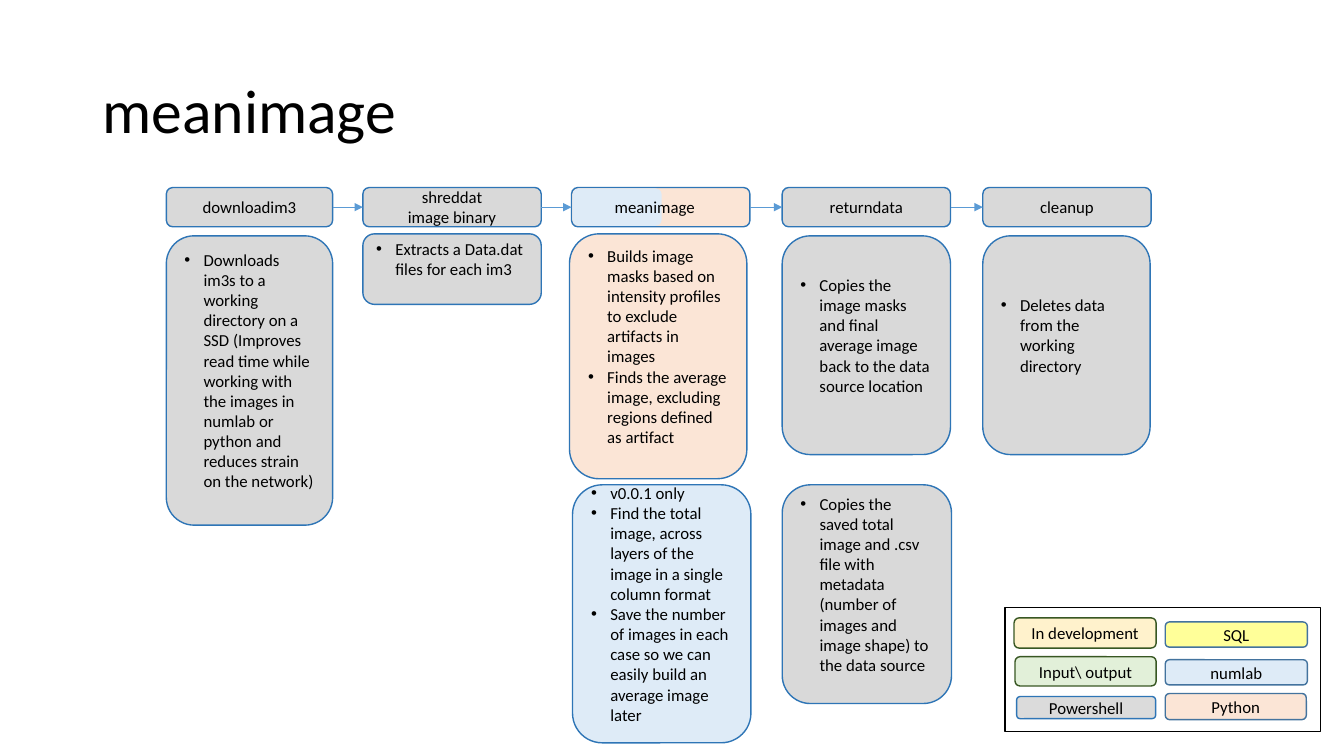
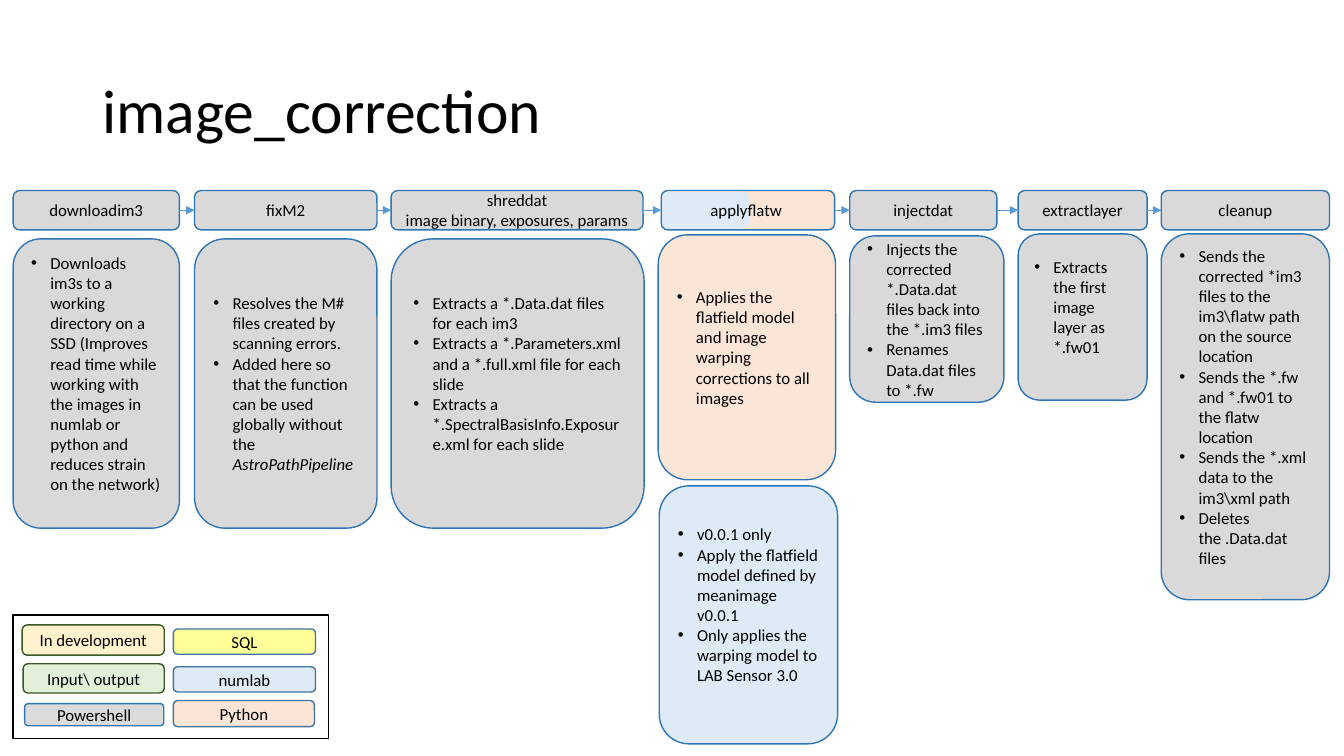
"""Build two pipeline slides: a row of linked steps with notes beneath, and a colour legend."""
from dataclasses import dataclass, field
from itertools import pairwise

from lxml import etree
from pptx import Presentation
from pptx import util as u
from pptx.dml.color import RGBColor
from pptx.enum import shapes, text
from pptx.oxml.ns import qn

# The grid has cells of a tenth of an inch.
COLUMNS, ROWS = 133.33, 75
FONT = "Calibri"
BODY_LINE = 2  # rows taken by one line of body text
INSET_X, INSET_Y = 1, 0.5
COLORS = {
    "powershell": "D9D9D9",
    "numlab": "DEEBF7",
    "python": "FBE5D6",
    "sql": "FFFF99",
    "development": "FFF2CC",
    "exchange": "E2F0D9",
    "legend_grey": "DBDBDB",
    "paper": "FFFFFF",
    "ink": "000000",
    "edge": "2E75B6",
    "legend_edge": "43739E",
    "green_edge": "385723",
    "arrow": "5B9BD5",
}
ROUNDED = shapes.MSO_SHAPE.ROUNDED_RECTANGLE
PLAIN = shapes.MSO_SHAPE.RECTANGLE
CENTER, LEFT = text.PP_ALIGN.CENTER, text.PP_ALIGN.LEFT
MIDDLE, TOP = text.MSO_ANCHOR.MIDDLE, text.MSO_ANCHOR.TOP


@dataclass
class Note:
    """A rounded box of bullets below a step; top counts from the step's top."""
    top: float
    height: float
    bullets: list
    fill: str = "powershell"
    shift: float = 0
    width: float = 0
    raised: bool = True


@dataclass
class Step:
    """One column of the flow; a label shift marks a step in two languages."""
    left: float
    width: float
    heading: list
    notes: list = field(default_factory=list)
    label_shift: float = 0


def grid(*lengths):
    """Turn grid cells into slide lengths."""
    return [u.Inches(length / 10) for length in lengths]


def color(name):
    """Look up a named colour."""
    return RGBColor.from_string(COLORS[name])


def add_bullet(paragraph):
    """Give a paragraph a hanging round bullet."""
    properties = paragraph._p.get_or_add_pPr()
    indent = u.Inches(0.19)
    properties.set("marL", str(indent))
    properties.set("indent", str(-indent))
    etree.SubElement(properties, qn("a:buFont")).set("typeface", "Arial")
    etree.SubElement(properties, qn("a:buChar")).set("char", "•")


def write(shape, lines, size=12, align=LEFT, anchor=MIDDLE, bullets=False,
          spacing=None, raise_by=0):
    """Fill a shape with paragraphs; a line is a string or (plain, italic)."""
    frame = shape.text_frame
    frame.word_wrap = True
    frame.vertical_anchor = anchor
    frame.margin_left, frame.margin_right = grid(INSET_X, INSET_X)
    frame.margin_top, frame.margin_bottom = grid(INSET_Y, INSET_Y + raise_by)
    for index, line in enumerate(lines):
        paragraph = frame.add_paragraph() if index else frame.paragraphs[0]
        paragraph.alignment = align
        if spacing:
            paragraph.line_spacing = spacing
        if bullets:
            add_bullet(paragraph)
        parts = (line,) if isinstance(line, str) else line
        for position, part in enumerate(parts):
            run = paragraph.add_run()
            run.text = part
            run.font.name, run.font.size = FONT, u.Pt(size)
            run.font.color.rgb = color("ink")
            if position:
                run.font.italic = True


def add_box(parent, box, fill, edge="edge", outline=ROUNDED):
    """Add a filled box with a thin edge, or none."""
    shape = parent.shapes.add_shape(outline, *grid(*box))
    shape.shadow.inherit = False
    shape.fill.solid()
    shape.fill.fore_color.rgb = color(fill)
    if edge:
        shape.line.color.rgb = color(edge)
        shape.line.width = u.Pt(1)
    else:
        shape.line.fill.background()
    return shape


def add_title(slide, title):
    """Place the slide's title."""
    shape = slide.shapes.add_textbox(*grid(9.2, 4, 115, 14.5))
    write(shape, [title], size=44, spacing=0.9)


def add_arrow(slide, start, end):
    """Link the right side of one box to the left side of the next."""
    arrow = slide.shapes.add_connector(shapes.MSO_CONNECTOR.CURVE, 0, 0, 0, 0)
    arrow.begin_connect(start, 3)
    arrow.end_connect(end, 1)
    arrow.line.color.rgb = color("arrow")
    arrow.line.width = u.Pt(0.5)
    etree.SubElement(arrow.line._get_or_add_ln(), qn("a:tailEnd")).set("type", "triangle")
    etree.SubElement(arrow._element.spPr, qn("a:effectLst"))


def add_two_tone(slide, box, label, label_shift):
    """Add a step heading that is half numlab and half Python."""
    left, top, width, height = box
    group = slide.shapes.add_group_shape()
    frame = add_box(group, box, "python")
    add_box(group, (left + 0.1, top + 0.1, width / 2, height - 0.2), "numlab", edge=None)
    caption = group.shapes.add_textbox(
        *grid(left + label_shift, top + 0.45, width - label_shift, 3))
    write(caption, label, anchor=TOP)
    return frame


def add_step(slide, step, top):
    """Add a heading and its notes, and return the heading's box."""
    box = (step.left, top, step.width, 3.9)
    if step.label_shift:
        heading = add_two_tone(slide, box, step.heading, step.label_shift)
    else:
        heading = add_box(slide, box, "powershell")
        write(heading, step.heading, align=CENTER)
    for note in step.notes:
        panel = add_box(slide, (step.left + note.shift, top + note.top,
                                note.width or step.width, note.height), note.fill)
        write(panel, note.bullets, bullets=True, raise_by=BODY_LINE * note.raised)
    return heading


def add_legend(slide, left, top):
    """Add the framed colour key; entries are placed from its corner."""
    entries = [
        ("In development", "development", "green_edge", 0.9, 1, 14.1, 3),
        ("Input\\ output", "exchange", "green_edge", 1, 4.85, 14, 2.9),
        ("Powershell", "legend_grey", "edge", 1.15, 8.8, 13.8, 2.2),
        ("SQL", "sql", "legend_edge", 15.9, 1.4, 14.1, 2.5),
        ("numlab", "numlab", "legend_edge", 15.9, 5.15, 14.1, 2.5),
        ("Python", "python", "legend_edge", 15.9, 8.5, 14, 2.6),
    ]
    group = slide.shapes.add_group_shape()
    add_box(group, (left, top, 31.3, 12.3), "paper", "ink", PLAIN)
    for name, fill, edge, across, down, width, height in entries:
        key = add_box(group, (left + across, top + down, width, height), fill, edge)
        write(key, [name], align=CENTER)


def add_flow_slide(presentation, title, top, steps, legend):
    """Build a slide of linked steps with a legend at the given corner."""
    slide = presentation.slides.add_slide(presentation.slide_layouts[6])
    add_title(slide, title)
    headings = [add_step(slide, step, top) for step in steps]
    for start, end in pairwise(headings):
        add_arrow(slide, start, end)
    add_legend(slide, *legend)


DOWNLOAD = Note(4.8, 28.7, [
    "Downloads im3s to a working directory on a SSD (Improves read time while "
    "working with the images in numlab or python and reduces strain on the network)"])

MEANIMAGE = [
    Step(16.5, 16.5, ["downloadim3"], [DOWNLOAD]),
    Step(36, 17.7, ["shreddat", "image binary"], [
        Note(4.6, 7, ["Extracts a Data.dat files for each im3"])]),
    Step(56.7, 17.7, ["meanimage"], [
        Note(4.6, 24.3, [
            "Builds image masks based on intensity profiles to exclude artifacts in images",
            "Finds the average image, excluding regions defined as artifact"],
            fill="python", shift=-0.2, width=17.6),
        Note(29.5, 25.6, [
            "v0.0.1 only",
            "Find the total image, across layers of the image in a single column format",
            "Save the number of images in each case so we can easily build an "
            "average image later"], fill="numlab", shift=0.1)],
        label_shift=3.3),
    Step(77.6, 16.7, ["returndata"], [
        Note(4.8, 21.7, [
            "Copies the image masks and final average image back to the data "
            "source location"]),
        Note(29.5, 21.7, [
            "Copies the saved total image and .csv file with metadata (number of "
            "images and image shape) to the data source"], width=16.8)]),
    Step(97.5, 16.7, ["cleanup"], [
        Note(4.8, 21.7, ["Deletes data from the working directory"], width=16.6)]),
]

IMAGE_CORRECTION = [
    Step(1.3, 16.5, ["downloadim3"], [DOWNLOAD]),
    Step(19.3, 18.1, ["fixM2"], [
        Note(4.8, 28.7, [
            "Resolves the M# files created by scanning errors.",
            ("Added here so that the function can be used globally without the ",
             "AstroPathPipeline")], raised=False)]),
    Step(38.8, 25, ["shreddat", "image binary, exposures, params"], [
        Note(4.8, 28.7, [
            "Extracts a *.Data.dat files for each im3",
            "Extracts a *.Parameters.xml and a *.full.xml file for each slide",
            "Extracts a *.SpectralBasisInfo.Exposure.xml for each slide"], width=25.1)]),
    Step(65.6, 17.2, ["applyflatw"], [
        Note(4.4, 24.3, [
            "Applies the flatfield model and image warping corrections to all images"],
            fill="python", shift=-0.3, width=17.6),
        Note(29.3, 25.6, [
            "v0.0.1 only",
            "Apply the flatfield model defined by meanimage v0.0.1",
            "Only applies the warping model to LAB Sensor 3.0"],
            fill="numlab", shift=-0.2, width=17.7)],
        label_shift=3.9),
    Step(84.3, 14.6, ["injectdat"], [
        Note(4.5, 16.5, [
            "Injects the corrected *.Data.dat files back into the *.im3 files",
            "Renames Data.dat files to *.fw"], width=15.3, raised=False)]),
    Step(101, 12.8, ["extractlayer"], [
        Note(4.3, 16.5, ["Extracts the first image layer as *.fw01"])]),
    Step(115.2, 16.7, ["cleanup"], [
        Note(4.3, 36.3, [
            "Sends the corrected *im3 files to the im3\\flatw path on the source location",
            "Sends the *.fw and *.fw01 to the flatw location",
            "Sends the *.xml data to the im3\\xml path",
            "Deletes the\u00a0.Data.dat files"])]),
]

presentation = Presentation()
presentation.slide_width, presentation.slide_height = grid(COLUMNS, ROWS)
add_flow_slide(presentation, "meanimage", 18.6, MEANIMAGE, (99.7, 60.3))
add_flow_slide(presentation, "image_correction", 18.9, IMAGE_CORRECTION, (1.3, 61))
presentation.save("out.pptx")
